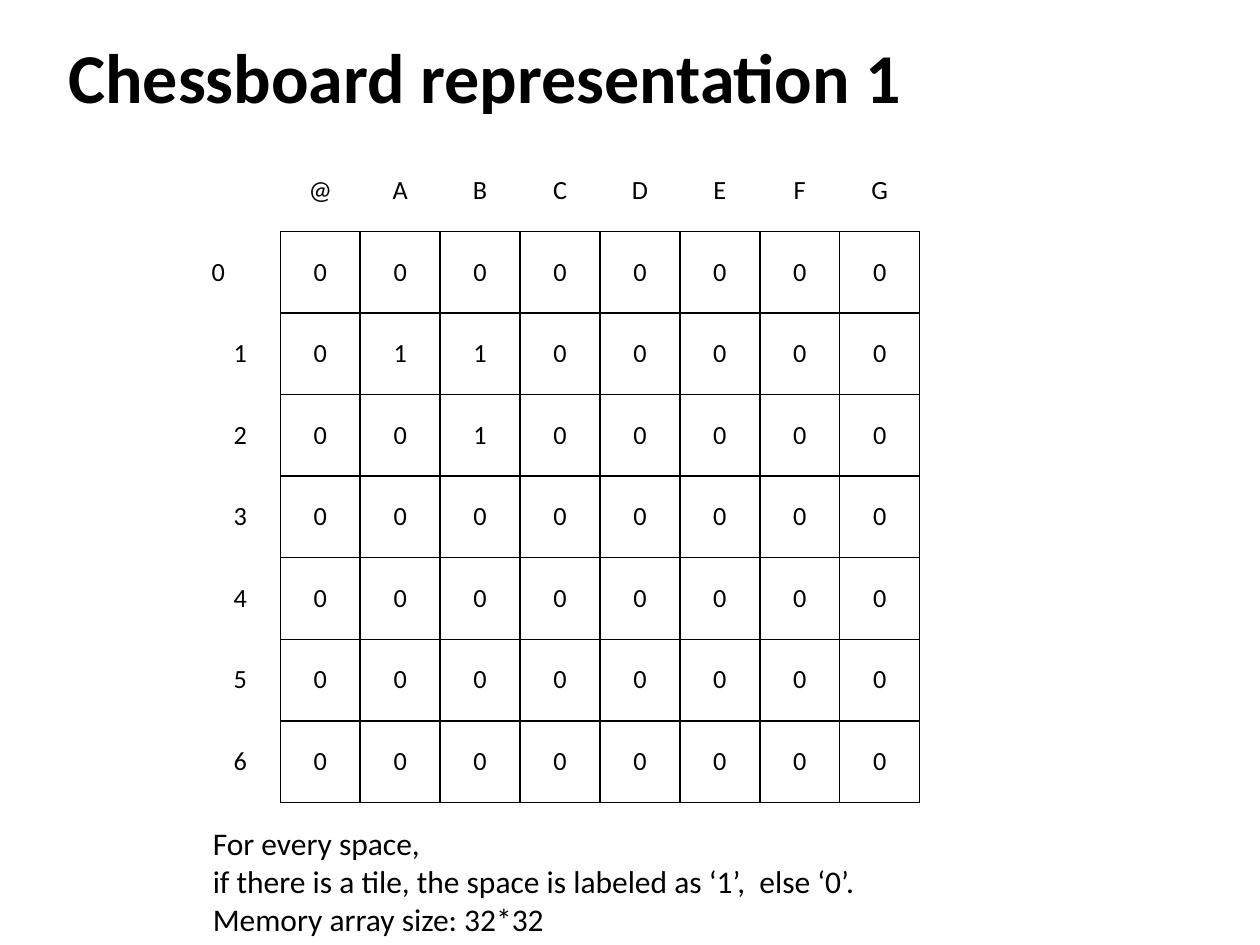
import pptx
import pptx.util
import pptx.dml.color
import pptx.enum.text
import lxml.etree

Pt = pptx.util.Pt
Align = pptx.enum.text.PP_ALIGN
Anchor = pptx.enum.text.MSO_ANCHOR

# Content
TITLE = "Chessboard representation 1"
COLUMN_LABELS = ["@", "A", "B", "C", "D", "E", "F", "G"]
BOARD = [
    [0, 0, 0, 0, 0, 0, 0, 0],
    [0, 1, 1, 0, 0, 0, 0, 0],
    [0, 0, 1, 0, 0, 0, 0, 0],
    [0, 0, 0, 0, 0, 0, 0, 0],
    [0, 0, 0, 0, 0, 0, 0, 0],
    [0, 0, 0, 0, 0, 0, 0, 0],
    [0, 0, 0, 0, 0, 0, 0, 0],
]
NOTES = [
    "For every space,",
    "if there is a tile, the space is labeled as ‘1’,  else ‘0’.",
    "Memory array size: 32*32",
]

THEME = {
    "font": "Calibri",
    "ink": "000000",
    "title_size": 40,
    "cell_size": 15,
    "note_size": 18,
    "border_width": 1,
}

# Layout in points: left, top, width, height
TITLE_BOX = (19.5, -2, 509, 72.5)
TITLE_INDENT = 19.5
TABLE_LEFT, TABLE_TOP = 114.5, 85.7
COLUMN_WIDTH, ROW_HEIGHT = 45.68, 46.62
NOTES_BOX = (114.5, 467.5, 386, 72.5)


def add_run(paragraph, text, size, bold=False):
    run = paragraph.add_run()
    run.text = text
    run.font.name = THEME["font"]
    run.font.size = Pt(size)
    run.font.bold = bold
    run.font.color.rgb = pptx.dml.color.RGBColor.from_string(THEME["ink"])


def set_borders(cell, visible_sides):
    properties = cell._tc.get_or_add_tcPr()
    namespace = "{http://schemas.openxmlformats.org/drawingml/2006/main}"
    for side in "LRTB":
        line = lxml.etree.SubElement(properties, f"{namespace}ln{side}")
        line.set("w", str(Pt(THEME["border_width"])))
        if side in visible_sides:
            fill = lxml.etree.SubElement(line, f"{namespace}solidFill")
            lxml.etree.SubElement(fill, f"{namespace}srgbClr", val=THEME["ink"])
        else:
            lxml.etree.SubElement(line, f"{namespace}noFill")


def add_title(slide):
    title = slide.shapes.title
    title.left, title.top, title.width, title.height = map(Pt, TITLE_BOX)
    frame = title.text_frame
    frame.word_wrap = False
    frame.vertical_anchor = Anchor.BOTTOM
    frame.margin_left = Pt(TITLE_INDENT)
    paragraph = frame.paragraphs[0]
    paragraph.alignment = Align.LEFT
    add_run(paragraph, TITLE, THEME["title_size"], bold=True)


def add_board(slide):
    # Labels frame the board: letters above, row numbers at the left
    rows = [[""] + COLUMN_LABELS]
    rows += [[number] + values for number, values in enumerate(BOARD)]
    row_count, column_count = len(rows), len(rows[0])
    table = slide.shapes.add_table(
        row_count, column_count, Pt(TABLE_LEFT), Pt(TABLE_TOP),
        Pt(COLUMN_WIDTH * column_count), Pt(ROW_HEIGHT * row_count)).table
    table.first_row = table.horz_banding = False
    for column in table.columns:
        column.width = Pt(COLUMN_WIDTH)
    for row in table.rows:
        row.height = Pt(ROW_HEIGHT)

    for row_index, values in enumerate(rows):
        for column_index, value in enumerate(values):
            cell = table.cell(row_index, column_index)
            cell.vertical_anchor = Anchor.MIDDLE
            cell.margin_left = cell.margin_right = Pt(6.5)
            cell.margin_top = cell.margin_bottom = Pt(3.25)
            # Label cells show only the edge they share with the board
            if row_index and column_index:
                sides = "LRTB"
            elif column_index:
                sides = "B"
            else:
                sides = "R" if row_index else ""
            set_borders(cell, sides)
            cell.fill.background()
            if value != "":
                paragraph = cell.text_frame.paragraphs[0]
                first_row_label = (row_index, column_index) == (1, 0)
                paragraph.alignment = Align.LEFT if first_row_label else Align.CENTER
                add_run(paragraph, str(value), THEME["cell_size"])


def add_notes(slide):
    frame = slide.shapes.add_textbox(*map(Pt, NOTES_BOX)).text_frame
    frame.word_wrap = False
    for index, text in enumerate(NOTES):
        paragraph = frame.add_paragraph() if index else frame.paragraphs[0]
        add_run(paragraph, text, THEME["note_size"])


def main():
    presentation = pptx.Presentation()
    presentation.slide_width, presentation.slide_height = Pt(720), Pt(540)
    slide = presentation.slides.add_slide(presentation.slide_layouts[5])
    add_title(slide)
    add_board(slide)
    add_notes(slide)
    presentation.save("out.pptx")


if __name__ == "__main__":
    main()
